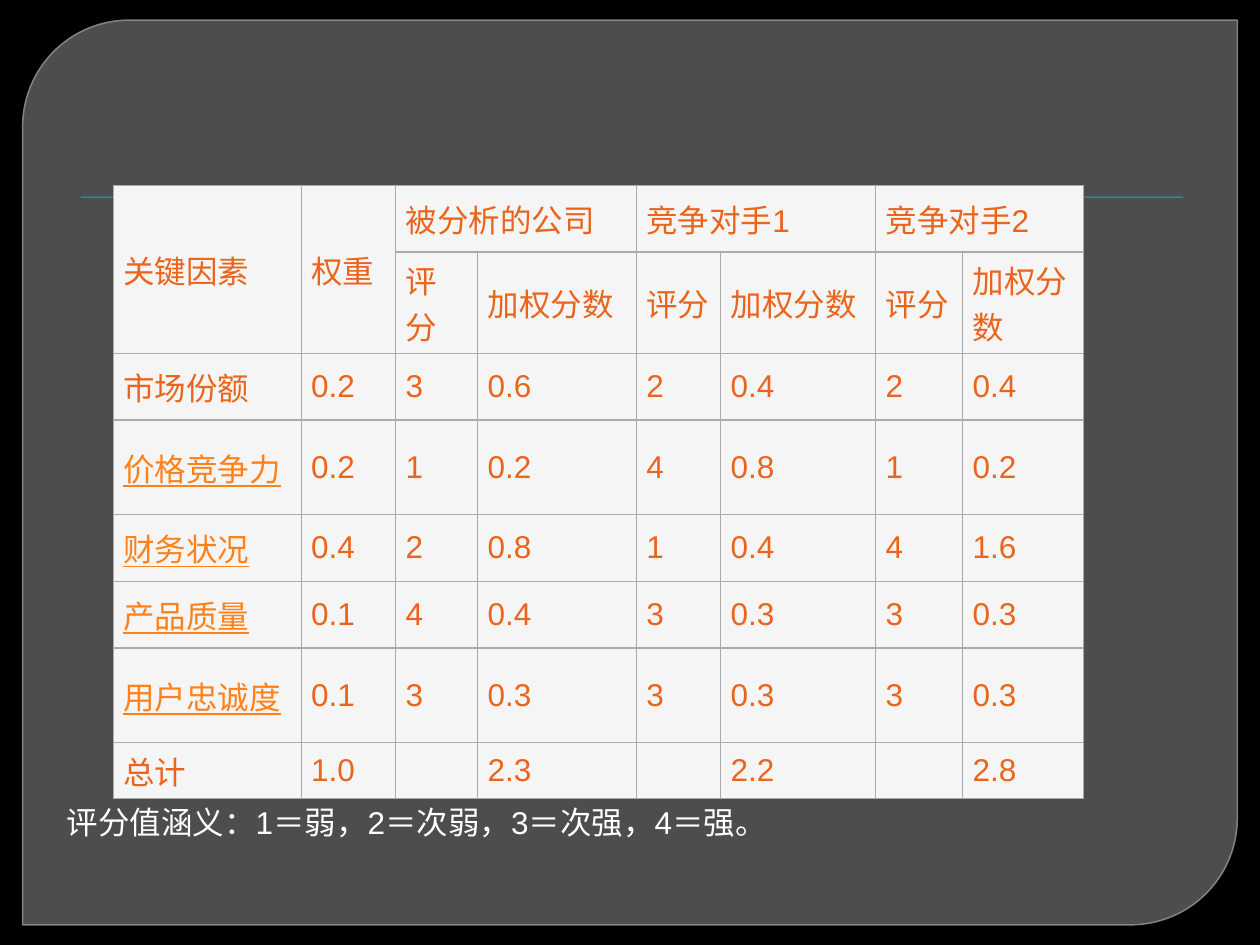
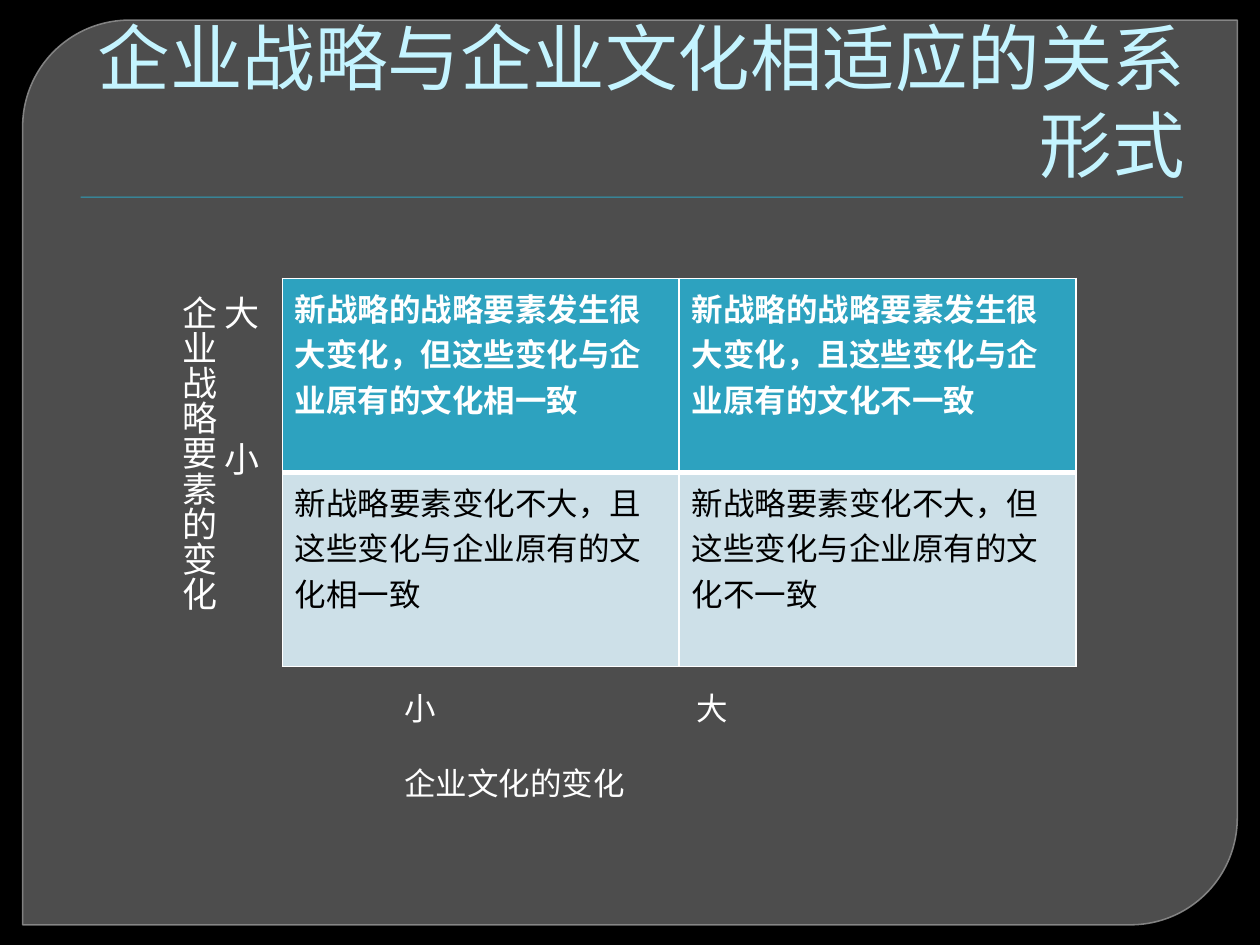
from dataclasses import dataclass

from lxml import etree
from pptx import Presentation
from pptx.dml.color import RGBColor
from pptx.enum.shapes import MSO_SHAPE
from pptx.enum.text import MSO_ANCHOR, PP_ALIGN
from pptx.oxml.ns import qn
from pptx.util import Inches, Pt

PANEL_SHAPE, RULE_SHAPE = MSO_SHAPE.ROUND_2_DIAG_RECTANGLE, MSO_SHAPE.RECTANGLE
TOP, MIDDLE, BOTTOM = MSO_ANCHOR.TOP, MSO_ANCHOR.MIDDLE, MSO_ANCHOR.BOTTOM
LEFT, RIGHT = PP_ALIGN.LEFT, PP_ALIGN.RIGHT
SIDES = ("L", "R", "T", "B")


@dataclass(frozen=True)
class Theme:
    background: str = "000000"
    panel: str = "777777"
    panel_line: str = "8E8E8E"
    accent: str = "2DA2BF"
    accent_pale: str = "CDE0E8"
    title: str = "C4F4FF"
    light: str = "FFFFFF"
    dark: str = "000000"
    cell: str = "F5F5F5"
    cell_line: str = "AAAAAA"
    cell_text: str = "EB641B"
    term: str = "FF8119"
    body_font: str = "Arial"
    display_font: str = "TeX Gyre Bonum"
    title_size: float = 41.4
    axis_size: int = 20
    body_size: int = 18


THEME = Theme()
BODY = {"name": THEME.body_font, "size": THEME.body_size, "color": THEME.light}
DISPLAY = {**BODY, "name": THEME.display_font}

FACTOR_COLUMNS = (1.49, 0.75, 0.65, 1.26, 0.67, 1.23, 0.69, 0.96)
FACTOR_ROWS = (0.53, 0.53, 0.53, 0.75, 0.53, 0.53, 0.75, 0.3)
COMPANIES = ("被分析的公司", "竞争对手1", "竞争对手2")
SCORES = (
    ("市场份额", "0.2", "3", "0.6", "2", "0.4", "2", "0.4"),
    ("价格竞争力", "0.2", "1", "0.2", "4", "0.8", "1", "0.2"),
    ("财务状况", "0.4", "2", "0.8", "1", "0.4", "4", "1.6"),
    ("产品质量", "0.1", "4", "0.4", "3", "0.3", "3", "0.3"),
    ("用户忠诚度", "0.1", "3", "0.3", "3", "0.3", "3", "0.3"),
    ("总计", "1.0", "", "2.3", "", "2.2", "", "2.8"),
)
UNDERLINED_FACTORS = {row[0] for row in SCORES[1:5]}
FIT_MATRIX = (
    ("新战略的战略要素发生很大变化，但这些变化与企业原有的文化相一致",
     "新战略的战略要素发生很大变化，且这些变化与企业原有的文化不一致"),
    ("新战略要素变化不大，且这些变化与企业原有的文化相一致",
     "新战略要素变化不大，但这些变化与企业原有的文化不一致"),
)


def rgb(color):
    return RGBColor.from_string(color)


def set_alpha(fill_format_parent, percent):
    """Make every solid colour below the element partly transparent."""
    for color in fill_format_parent.iter(qn("a:srgbClr")):
        etree.SubElement(color, qn("a:alpha"), val=str(percent * 1000))


def format_font(font, values):
    for name, value in values.items():
        if name == "color":
            font.color.rgb = rgb(value)
        else:
            setattr(font, name, Pt(value) if name == "size" else value)


def write(paragraph, text, font):
    run = paragraph.add_run()
    run.text = text
    format_font(run.font, font)


def add_text(slide, box, lines, font, anchor=TOP, align=LEFT, wrap=True,
             tab=None, gap=0):
    """Text box with one paragraph a line; gap separates the paragraphs."""
    shape = slide.shapes.add_textbox(*map(Inches, box))
    frame = shape.text_frame
    frame.word_wrap = wrap
    frame.vertical_anchor = anchor
    for index, line in enumerate(lines):
        paragraph = frame.add_paragraph() if index else frame.paragraphs[0]
        paragraph.alignment = align
        if index and gap:
            paragraph.space_before = Pt(gap)
        if tab and "\t" in line:
            stops = etree.SubElement(paragraph._p.get_or_add_pPr(), qn("a:tabLst"))
            etree.SubElement(stops, qn("a:tab"), pos=str(Inches(tab)), algn="l")
        write(paragraph, line, font)
    return shape


def add_plain_table(slide, box, columns, rows):
    frame = slide.shapes.add_table(len(rows), len(columns), *map(Inches, box))
    table = frame.table
    table.first_row = table.horz_banding = False
    for column, width in zip(table.columns, columns):
        column.width = Inches(width)
    for row, height in zip(table.rows, rows):
        row.height = Inches(height)
    return table


def style_cell(cell, fill, line, widths):
    """Borders in the order left, right, top, bottom, then the fill."""
    properties = cell._tc.get_or_add_tcPr()
    for side, width in zip(SIDES, widths):
        border = etree.SubElement(properties, qn("a:ln" + side), w=str(Pt(width)))
        solid = etree.SubElement(border, qn("a:solidFill"))
        etree.SubElement(solid, qn("a:srgbClr"), val=line)
    cell.fill.solid()
    cell.fill.fore_color.rgb = rgb(fill)


def add_base_slide(presentation):
    """Black slide with the rounded panel and the rule under the title."""
    slide = presentation.slides.add_slide(presentation.slide_layouts[6])
    slide.background.fill.solid()
    slide.background.fill.fore_color.rgb = rgb(THEME.background)

    parts = ((PANEL_SHAPE, (0.18, 0.16, 9.64, 7.18), THEME.panel),
             (RULE_SHAPE, (0.64, 1.56, 8.75, 0.01), THEME.accent))
    panel, rule = (slide.shapes.add_shape(kind, *map(Inches, box))
                   for kind, box, color in parts)
    for shape, (kind, box, color) in zip((panel, rule), parts):
        shape.shadow.inherit = False
        shape.fill.solid()
        shape.fill.fore_color.rgb = rgb(color)
    rule.line.fill.background()
    panel.adjustments[0], panel.adjustments[1] = 0.118, 0
    set_alpha(panel._element.spPr, 65)
    panel.line.color.rgb = rgb(THEME.panel_line)
    panel.line.width = Pt(0.87)
    set_alpha(panel.line._ln, 88)
    return slide


def add_title(slide, text):
    font = {**DISPLAY, "size": THEME.title_size, "color": THEME.title}
    shape = add_text(slide, (0.5, 0.28, 9, 1.25), [text], font, BOTTOM, RIGHT)
    shape.text_frame.paragraphs[0]._p.get_or_add_pPr().set("marL", str(Inches(0.06)))


def add_factor_table(slide, box):
    table = add_plain_table(slide, box, FACTOR_COLUMNS, FACTOR_ROWS)
    header = ["关键因素", "权重"]
    subheader = ["", ""]
    for company in COMPANIES:
        header += [company, ""]
        subheader += ["评分", "加权分数"]

    for row_index, row in enumerate((header, subheader, *SCORES)):
        for column_index, text in enumerate(row):
            cell = table.cell(row_index, column_index)
            style_cell(cell, THEME.cell, THEME.cell_line, [0.75] * 4)
            cell.vertical_anchor = MIDDLE
            cell.margin_left = cell.margin_right = Inches(0.08)
            cell.margin_top = cell.margin_bottom = Inches(0.04)
            if text:
                underlined = text in UNDERLINED_FACTORS
                color = THEME.term if underlined else THEME.cell_text
                write(cell.text_frame.paragraphs[0], text,
                      {**BODY, "color": color, "underline": underlined})

    # Headings span two rows, company names span two columns
    for column in (0, 1):
        table.cell(0, column).merge(table.cell(1, column))
    for column in (2, 4, 6):
        table.cell(0, column).merge(table.cell(0, column + 1))


def add_fit_matrix(slide, box):
    width, height = box[2] / 2, box[3] / 2
    table = add_plain_table(slide, box, [width] * 2, [height] * 2)
    row_styles = (
        (THEME.accent, (1, 1, 1, 3), {**BODY, "bold": True}),
        (THEME.accent_pale, (1, 1, 3, 1), {**BODY, "color": THEME.dark, "bold": False}),
    )
    for row_index, (fill, borders, font) in enumerate(row_styles):
        for column_index, text in enumerate(FIT_MATRIX[row_index]):
            cell = table.cell(row_index, column_index)
            style_cell(cell, fill, THEME.light, borders)
            write(cell.text_frame.paragraphs[0], text, font)


def add_axis_labels(slide):
    # Strategy axis, written downwards
    strategy = add_text(slide, (0.35, 2.25, 1.78, 2.62),
                        ["大\t小", "企业战略要素的变化"],
                        {**DISPLAY, "size": THEME.axis_size}, wrap=False, tab=1.16)
    strategy.text_frame._txBody.bodyPr.set("vert", "eaVert")
    # Culture axis
    add_text(slide, (3.11, 5.42, 5.38, 1.01), ["小\t大", "企业文化的变化"],
             DISPLAY, tab=2.32, gap=21)


def build_factor_slide(presentation):
    slide = add_base_slide(presentation)
    add_factor_table(slide, (0.9, 1.47, 7.72, 4.67))
    add_text(slide, (0.43, 6.27, 9.5, 0.5),
             ["评分值涵义：1＝弱，2＝次弱，3＝次强，4＝强。"], BODY, MIDDLE)


def build_culture_slide(presentation):
    slide = add_base_slide(presentation)
    add_title(slide, "企业战略与企业文化相适应的关系形式")
    add_fit_matrix(slide, (2.24, 2.21, 6.3, 3.08))
    add_axis_labels(slide)


def main():
    presentation = Presentation()
    presentation.slide_width, presentation.slide_height = Inches(10), Inches(7.5)
    build_factor_slide(presentation)
    build_culture_slide(presentation)
    presentation.save("out.pptx")


if __name__ == "__main__":
    main()
